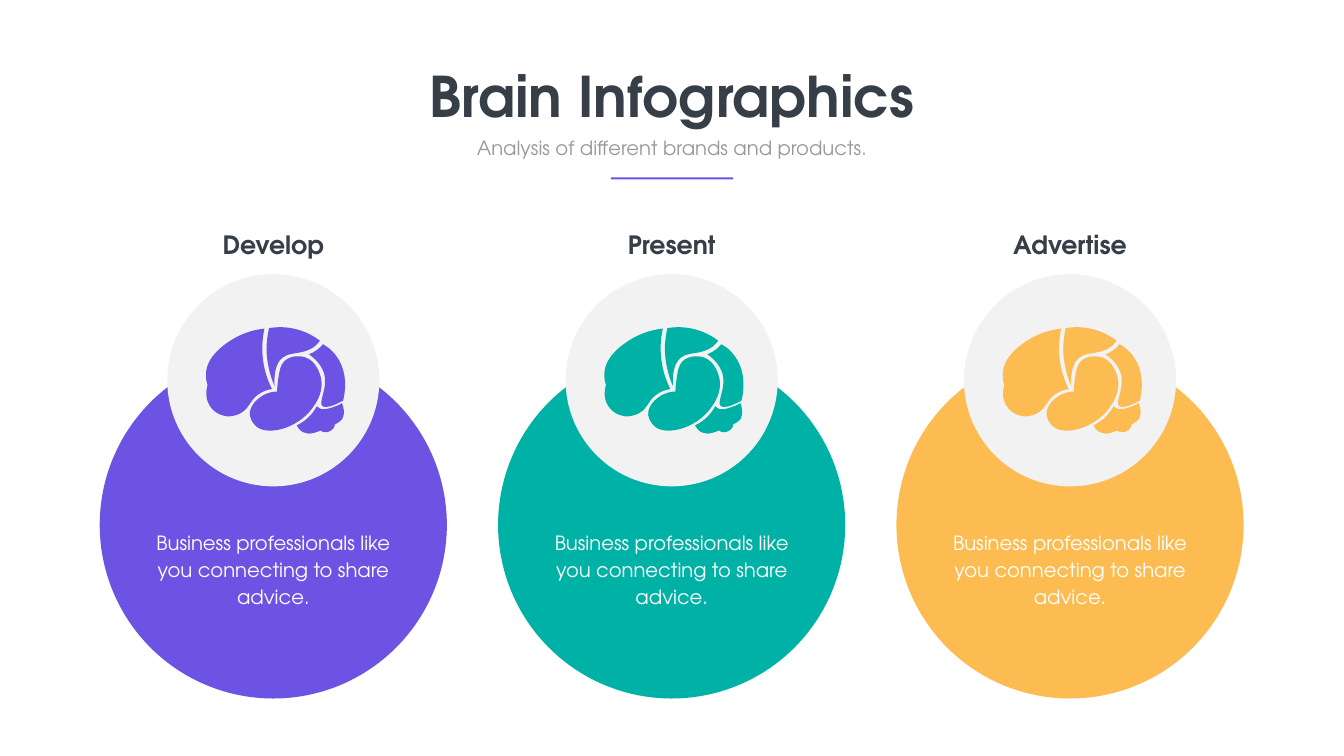
from collections import namedtuple

from lxml.etree import SubElement
from pptx import Presentation
from pptx.dml.color import RGBColor
from pptx.enum.shapes import MSO_SHAPE
from pptx.enum.text import MSO_ANCHOR, PP_ALIGN
from pptx.oxml.ns import qn
from pptx.util import Inches, Pt

PURPLE = RGBColor(0x6C, 0x53, 0xE4)
TEAL = RGBColor(0x00, 0xB2, 0xA6)
AMBER = RGBColor(0xFC, 0xBC, 0x52)
PALE = RGBColor(0xF2, 0xF2, 0xF2)
INK = RGBColor(0x36, 0x3E, 0x48)
GREY = RGBColor(0x99, 0x99, 0x99)
WHITE = RGBColor(0xFF, 0xFF, 0xFF)
FONT = "TeX Gyre Adventor"

Box = namedtuple("Box", "left top width height")

STAGES = [("Develop", PURPLE), ("Present", TEAL), ("Advertise", AMBER)]
ADVICE = "Business professionals like you connecting to share advice."
FIRST_LEFT, PITCH = 7.42, 29.64

BRAIN_GRID = (300, 250)
FRONTAL = [(125, 12), (95, 15), (74, 26), (62, 33), (49, 41), (9, 66), (9, 103),
           (8, 110), (10, 117), (12, 124), (12, 126), (4, 147), (17, 166),
           (28, 183), (46, 185), (50, 186), (65, 187), (76, 181), (79, 179),
           (96, 169), (95, 156), (111, 144), (121, 136), (132, 133), (140, 132),
           (121, 95), (116, 52), (125, 12)]
PARIETAL = [(145, 126), (135, 103), (130, 79), (129, 54), (129, 40), (131, 25), (134, 11),
            (170, 5), (206, 14), (235, 36), (232, 40), (229, 43), (225, 47),
            (201, 65), (178, 57), (162, 69), (153, 75), (143, 90), (145, 126)]
TEMPORAL = [(150, 137), (150, 130), (151, 122), (152, 114), (155, 94), (157, 84), (164, 77),
            (175, 66), (193, 65), (206, 69), (229, 77), (235, 103), (237, 109),
            (243, 135), (229, 157), (224, 164), (199, 205), (139, 226), (111, 208),
            (110, 207), (98, 198), (96, 184), (94, 164), (114, 150), (117, 148),
            (130, 138), (144, 137), (150, 137)]
OCCIPITAL = [(213, 63), (224, 59), (234, 52), (241, 43), (252, 49), (261, 57), (268, 67),
             (294, 103), (283, 147), (281, 155), (255, 169), (245, 169), (240, 166),
             (231, 157), (252, 130), (243, 100), (237, 83), (225, 71), (213, 63)]
CEREBELLUM = [(189, 204), (206, 196), (220, 183), (229, 166), (232, 169), (235, 171), (239, 172),
              (240, 172), (246, 173), (258, 169), (265, 167), (272, 164), (279, 160),
              (282, 168), (285, 179), (280, 190), (279, 192), (276, 198), (254, 207),
              (228, 218), (215, 224), (203, 218), (199, 217), (194, 213), (189, 204)]
STEM = [(264, 201), (266, 205), (262, 212), (254, 216), (246, 219), (239, 218), (236, 213),
        (234, 209), (238, 202), (246, 198), (253, 195), (261, 196), (264, 201)]
LOBES = [FRONTAL, PARIETAL, TEMPORAL, OCCIPITAL, CEREBELLUM, STEM]


def part(box, left, top, width, height):
    """Return the part of a box given in percent of its size."""
    return Box(round(box.left + box.width * left / 100),
               round(box.top + box.height * top / 100),
               round(box.width * width / 100),
               round(box.height * height / 100))


def paint(shape, color):
    """Give a shape a flat fill without line or shadow."""
    shape.shadow.inherit = False
    shape.fill.solid()
    shape.fill.fore_color.rgb = color
    shape.line.fill.background()


def add_text(slide, box, text, *, size, color, bold=False, wrap=True, spacing=None):
    """Add a centred line or paragraph of text."""
    frame = slide.shapes.add_textbox(*box).text_frame
    frame.word_wrap = wrap
    frame.vertical_anchor = MSO_ANCHOR.TOP
    paragraph = frame.paragraphs[0]
    paragraph.alignment = PP_ALIGN.CENTER
    if spacing:
        paragraph.line_spacing = Pt(spacing)
    run = paragraph.add_run()
    run.text = text
    run.font.name, run.font.size, run.font.bold = FONT, Pt(size), bold
    run.font.color.rgb = color


def bend(shape):
    """Turn each three straight segments of an outline into one cubic curve."""
    segments = list(shape.element.iter(qn("a:lnTo")))
    outline = segments[0].getparent()
    close = outline.find(qn("a:close"))
    for first in range(0, len(segments), 3):
        curve = SubElement(outline, qn("a:cubicBezTo"))
        for segment in segments[first:first + 3]:
            curve.append(segment[0])
            outline.remove(segment)
    outline.append(close)


def add_brain(slide, box, color):
    """Draw the lobes of the brain in a box."""
    columns, rows = BRAIN_GRID
    for lobe in LOBES:
        start, *knots = [(box.left + box.width * x / columns, box.top + box.height * y / rows)
                         for x, y in lobe]
        outline = slide.shapes.build_freeform(*start)
        outline.add_line_segments(knots)
        shape = outline.convert_to_shape()
        bend(shape)
        paint(shape, color)


def add_header(slide, box):
    """Place the title, the subtitle and the rule."""
    add_text(slide, part(box, 0, 0, 100, 60.67), "Brain Infographics",
             size=80, color=INK, bold=True, wrap=False)
    add_text(slide, part(box, 2.01, 61.92, 95.89, 23.85),
             "Analysis of different brands and products.", size=28, color=GREY)
    rule = slide.shapes.add_shape(MSO_SHAPE.RECTANGLE, *part(box, 37.81, 98.33, 24.37, 1.67))
    paint(rule, PURPLE)


def add_stage(slide, box, heading, color):
    """Place one stage: heading, disc, badge with brain, and advice."""
    disc = part(box, 0, 26.39, 100, 73.61)
    badge = part(box, 19.45, 10.04, 61.1, 44.98)
    for circle, fill in ((disc, color), (badge, PALE)):
        paint(slide.shapes.add_shape(MSO_SHAPE.OVAL, *circle), fill)
    add_text(slide, part(box, 13.64, 63.25, 72.71, 18.06), ADVICE,
             size=28, color=WHITE, spacing=38.6)
    add_text(slide, part(box, 18.43, 0, 63.13, 7.59), heading,
             size=36, color=INK, bold=True)
    add_brain(slide, part(box, 29.32, 20.3, 43.54, 26.71), color)


def main():
    """Build the slide and save it."""
    deck = Presentation()
    deck.slide_width, deck.slide_height = Inches(26.67), Inches(15)
    slide = deck.slides.add_slide(deck.slide_layouts[6])
    page = Box(0, 0, deck.slide_width, deck.slide_height)
    for index, (heading, color) in enumerate(STAGES):
        column = part(page, FIRST_LEFT + PITCH * index, 30, 25.83, 62.4)
        add_stage(slide, column, heading, color)
    add_header(slide, part(page, 31.31, 7.8, 37.38, 15.93))
    deck.save("out.pptx")


if __name__ == "__main__":
    main()
